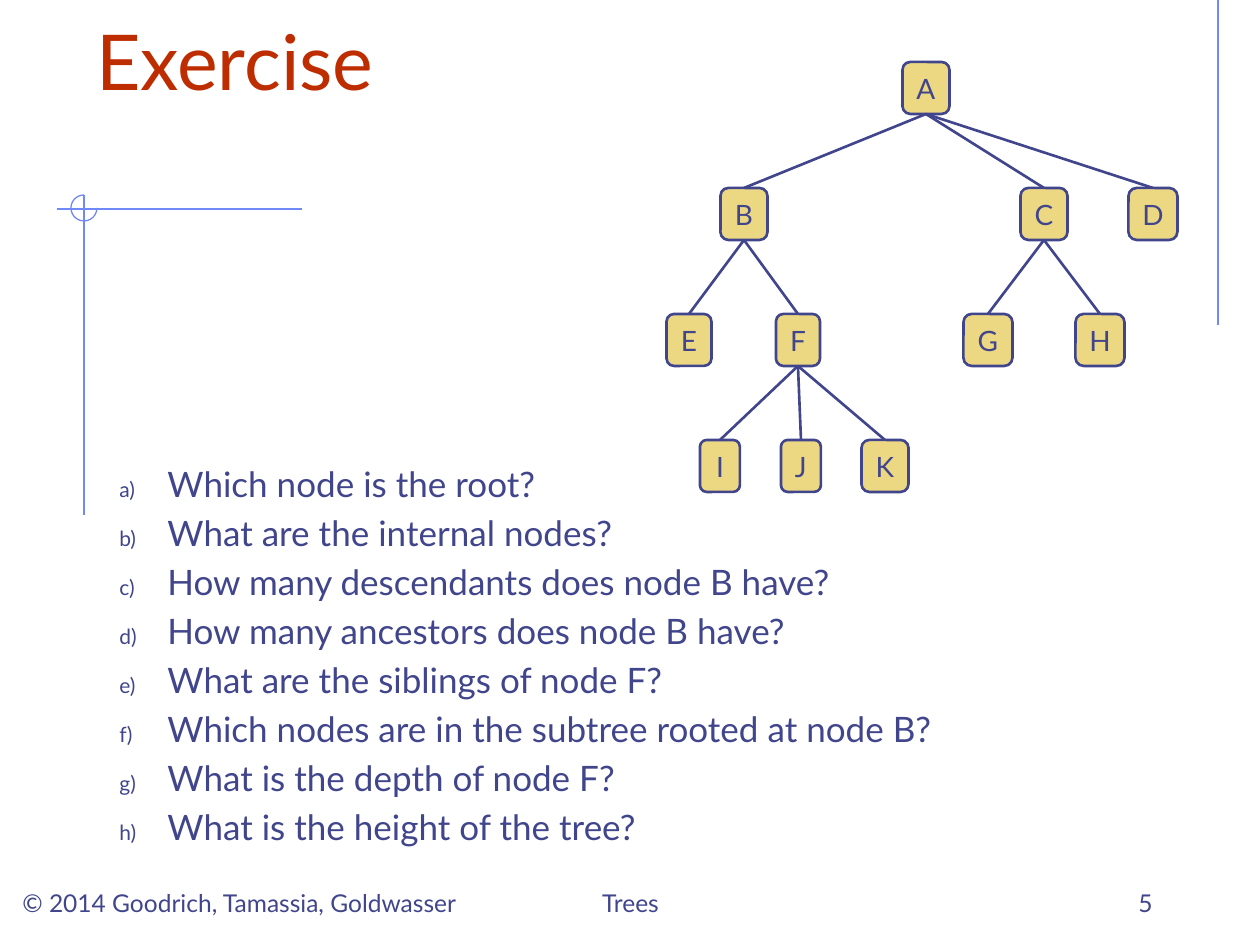
from dataclasses import dataclass

from lxml import etree
from pptx import Presentation
from pptx import util as u
from pptx.dml.color import RGBColor
from pptx.enum import shapes, text
from pptx.oxml import ns

PX = 914400 / 126
FONT = "Lato"
COLORS = {"ink": "40458C", "title": "BE2D00", "node": "ECD882", "rule": "6F89F7"}
LEVEL_TOP, LEVEL_STEP, NODE_HEIGHT = 62, 126, 52


@dataclass
class Node:
    name: str
    level: int
    center: int
    width: int
    parent: str = ""


@dataclass
class Rule:
    x1: int
    y1: int
    x2: int
    y2: int


NODES = [
    Node("A", 0, 926, 47),
    Node("B", 1, 744, 47, "A"),
    Node("C", 1, 1044, 47, "A"),
    Node("D", 1, 1153, 49, "A"),
    Node("E", 2, 689, 45, "B"),
    Node("F", 2, 798, 44, "B"),
    Node("G", 2, 988, 49, "C"),
    Node("H", 2, 1100, 49, "C"),
    Node("I", 3, 720, 40, "F"),
    Node("J", 3, 801, 40, "F"),
    Node("K", 3, 885, 47, "F"),
]
RULES = [Rule(1218, 0, 1218, 325), Rule(57, 209, 302, 209), Rule(84, 195, 84, 515)]
QUESTIONS = [
    "Which node is the root?",
    "What are the internal nodes?",
    "How many descendants does node B have?",
    "How many ancestors does node B have?",
    "What are the siblings of node F?",
    "Which nodes are in the subtree rooted at node B?",
    "What is the depth of node F?",
    "What is the height of the tree?",
]


def px(length: float) -> int:
    return round(length * PX)


def rgb(name: str) -> RGBColor:
    return RGBColor.from_string(COLORS[name])


def write(para, words: str, *, size: int, color: str = "ink",
          align=text.PP_ALIGN.LEFT) -> None:
    para.alignment = align
    span = para.add_run()
    span.text = words
    span.font.name = FONT
    span.font.size = u.Pt(size)
    span.font.color.rgb = rgb(color)


def add_box(page, left: int, top: int, width: int, height: int,
            anchor=text.MSO_ANCHOR.BOTTOM):
    box = page.shapes.add_textbox(px(left), px(top), px(width), px(height))
    box.text_frame.word_wrap = True
    box.text_frame.vertical_anchor = anchor
    return box.text_frame


def add_line(page, line: Rule, color: str, weight: float):
    connector = page.shapes.add_connector(
        shapes.MSO_CONNECTOR.STRAIGHT,
        px(line.x1), px(line.y1), px(line.x2), px(line.y2))
    connector.line.color.rgb = rgb(color)
    connector.line.width = u.Pt(weight)
    etree.SubElement(connector.element.spPr, ns.qn("a:effectLst"))
    return connector


def add_node(page, node: Node):
    top = LEVEL_TOP + node.level * LEVEL_STEP
    shape = page.shapes.add_shape(
        shapes.MSO_SHAPE.ROUNDED_RECTANGLE, px(node.center - node.width / 2),
        px(top), px(node.width), px(NODE_HEIGHT))
    shape.shadow.inherit = False
    shape.fill.solid()
    shape.fill.fore_color.rgb = rgb("node")
    shape.line.color.rgb = rgb("ink")
    shape.line.width = u.Pt(1.5)
    frame = shape.text_frame
    frame.word_wrap = False
    frame.vertical_anchor = text.MSO_ANCHOR.MIDDLE
    write(frame.paragraphs[0], node.name, size=16, align=text.PP_ALIGN.CENTER)
    return shape


def add_edge(page, parent, child) -> None:
    edge = add_line(page, Rule(0, 0, 0, 0), "ink", 1.5)
    edge.begin_connect(parent, 2)
    edge.end_connect(child, 0)


def add_letter_bullet(para) -> None:
    props = para._p.get_or_add_pPr()
    props.set("marL", str(px(48)))
    props.set("indent", str(-px(48)))
    color = etree.SubElement(props, ns.qn("a:buClr"))
    etree.SubElement(color, ns.qn("a:srgbClr")).set("val", COLORS["ink"])
    etree.SubElement(props, ns.qn("a:buSzPct")).set("val", "60000")
    etree.SubElement(props, ns.qn("a:buFont")).set("typeface", FONT)
    etree.SubElement(props, ns.qn("a:buAutoNum")).set("type", "alphaLcParenR")


def main() -> None:
    deck = Presentation()
    deck.slide_width, deck.slide_height = px(1260), px(945)
    page = deck.slides.add_slide(deck.slide_layouts[6])

    # Decorative rules and the three-quarter circle at their crossing
    for rule in RULES:
        add_line(page, rule, "rule", 0.75)
    arc = page.shapes.add_shape(shapes.MSO_SHAPE.ARC, px(71), px(195), px(26), px(26))
    arc.adjustments[0], arc.adjustments[1] = 0, 162
    arc.shadow.inherit = False
    arc.fill.background()
    arc.line.color.rgb = rgb("rule")
    arc.line.width = u.Pt(0.75)

    # Title
    title = add_box(page, 84, 42, 1071, 70)
    write(title.paragraphs[0], "Exercise", size=44, color="title")

    # Footer
    for words, left, width, align in [
        ("© 2014 Goodrich, Tamassia, Goldwasser", 10, 494, text.PP_ALIGN.LEFT),
        ("Trees", 431, 399, text.PP_ALIGN.CENTER),
        ("5", 903, 262, text.PP_ALIGN.RIGHT),
    ]:
        footer = add_box(page, left, 861, width, 63)
        write(footer.paragraphs[0], words, size=14, align=align)

    # Questions
    body = add_box(page, 107, 456, 1071, 411, text.MSO_ANCHOR.TOP)
    for index, question in enumerate(QUESTIONS):
        para = body.add_paragraph() if index else body.paragraphs[0]
        para.space_before = u.Pt(4 if index else 0)
        add_letter_bullet(para)
        write(para, question, size=20)

    # Tree
    drawn = {}
    for node in NODES:
        drawn[node.name] = add_node(page, node)
        if node.parent:
            add_edge(page, drawn[node.parent], drawn[node.name])

    deck.save("out.pptx")


if __name__ == "__main__":
    main()
